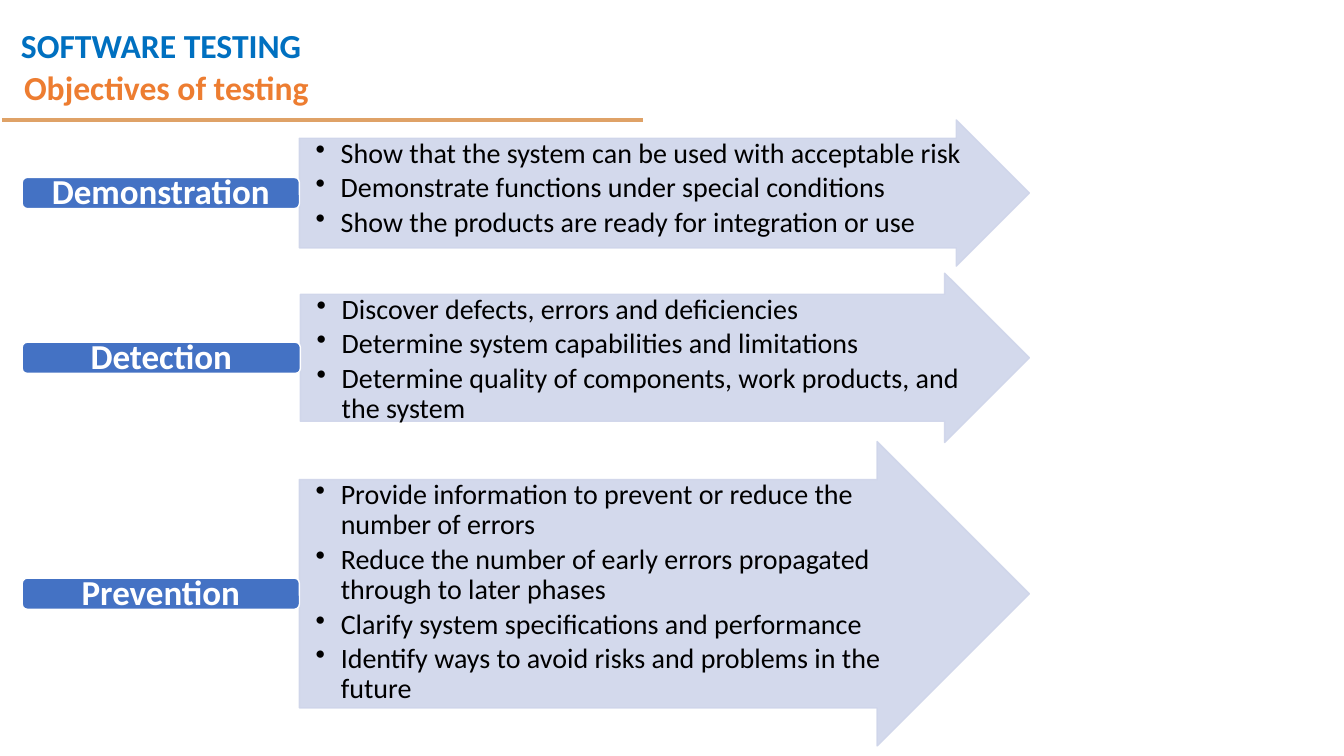
import pptx
import pptx.dml.color
import pptx.enum.shapes
import pptx.enum.text
import pptx.oxml
import pptx.oxml.ns
import pptx.util

Inches = pptx.util.Inches
Pt = pptx.util.Pt
RGBColor = pptx.dml.color.RGBColor
Shape = pptx.enum.shapes.MSO_SHAPE
Anchor = pptx.enum.text.MSO_ANCHOR
Align = pptx.enum.text.PP_ALIGN
qn = pptx.oxml.ns.qn

BLUE = RGBColor(0x00, 0x70, 0xC0)
ORANGE = RGBColor(0xED, 0x7D, 0x31)
RULE = RGBColor(0xDF, 0xA2, 0x67)
ARROW = RGBColor(0xCF, 0xD5, 0xEA)
LABEL = RGBColor(0x44, 0x72, 0xC4)
WHITE = RGBColor(0xFF, 0xFF, 0xFF)
BLACK = RGBColor(0x00, 0x00, 0x00)

LABEL_LEFT, LABEL_HEIGHT = 0.22, 0.31
ARROW_RIGHT = 10.21
SHAFT, HEAD = 0.75, 0.5

# Label, arrow left, top and height, bullet points
OBJECTIVES = [
    ("Demonstration", 2.97, 1.19, 1.45, [
        "Show that the system can be used with acceptable risk",
        "Demonstrate functions under special conditions",
        "Show the products are ready for integration or use"]),
    ("Detection", 2.98, 2.71, 1.68, [
        "Discover defects, errors and deficiencies",
        "Determine system capabilities and limitations",
        "Determine quality of components, work products, and the system"]),
    ("Prevention", 2.97, 4.38, 3.02, [
        "Provide information to prevent or reduce the number of errors",
        "Reduce the number of early errors propagated through to later phases",
        "Clarify system specifications and performance",
        "Identify ways to avoid risks and problems in the future"]),
]


class SlideBuilder:
    """Holds the style and the current slide."""

    font_name = "Calibri"

    def __init__(self, slide):
        self.slide = slide

    def fill_text(self, frame, lines, size, color, bold=False, inset=(0.1, 0.05),
                  anchor=Anchor.TOP, bullets=False, **para_format):
        across, down = (Inches(value) for value in inset)
        frame_format = {"word_wrap": True, "vertical_anchor": anchor,
                        "margin_left": across, "margin_right": across,
                        "margin_top": down, "margin_bottom": down}
        for name, value in frame_format.items():
            setattr(frame, name, value)
        for index, line in enumerate(lines):
            para = frame.add_paragraph() if index else frame.paragraphs[0]
            for name, value in para_format.items():
                setattr(para, name, value)
            span = para.add_run()
            span.text = line
            font_format = {"name": self.font_name, "size": Pt(size), "bold": bold}
            for name, value in font_format.items():
                setattr(span.font, name, value)
            span.font.color.rgb = color
            if bullets:
                self.add_bullet(para)

    def add_bullet(self, para):
        properties = para._p.get_or_add_pPr()
        properties.set("marL", str(Inches(0.4)))
        properties.set("indent", str(Inches(-0.25)))
        bullet = pptx.oxml.parse_xml(
            f'<a:buChar {pptx.oxml.ns.nsdecls("a")} char="•"/>')
        properties.append(bullet)

    def text(self, place, lines, size, color, **style):
        box = self.slide.shapes.add_textbox(*map(Inches, place))
        self.fill_text(box.text_frame, lines, size, color, **style)

    def shape(self, kind, place, fill, line, opacity=100):
        shape = self.slide.shapes.add_shape(kind, *map(Inches, place))
        shape.shadow.inherit = False
        shape.line.width = Pt(1)
        for paint, color in ((shape.fill, fill), (shape.line.fill, line)):
            paint.solid()
            paint.fore_color.rgb = color
        if opacity < 100:
            for node in shape._element.spPr.iter(qn("a:srgbClr")):
                alpha = pptx.oxml.parse_xml(
                    f'<a:alpha {pptx.oxml.ns.nsdecls("a")} val="{opacity * 1000}"/>')
                node.append(alpha)
        return shape

    def line(self, start, end, color, width):
        ends = map(Inches, (*start, *end))
        line = self.slide.shapes.add_connector(
            pptx.enum.shapes.MSO_CONNECTOR.STRAIGHT, *ends)
        line.line.color.rgb = color
        line.line.width = Pt(width)
        line._element.spPr.append(pptx.oxml.parse_xml(
            f'<a:effectLst {pptx.oxml.ns.nsdecls("a")}/>'))

    def objective(self, label, left, top, height, points):
        # Arrow
        width = ARROW_RIGHT - left
        arrow = self.shape(Shape.RIGHT_ARROW, (left, top, width, height),
                           ARROW, ARROW, opacity=90)
        arrow.adjustments[0], arrow.adjustments[1] = SHAFT, HEAD
        # Bullet points inside the shaft
        place = (left, top + height * (1 - SHAFT) / 2,
                 width - height * HEAD * SHAFT, height * SHAFT)
        self.text(place, points, 20, BLACK, inset=(0.01, 0.01), bullets=True,
                  line_spacing=0.9, space_after=Pt(3))
        # Label centred on the arrow
        place = (LABEL_LEFT, top + (height - LABEL_HEIGHT) / 2,
                 left - LABEL_LEFT, LABEL_HEIGHT)
        bar = self.shape(Shape.ROUNDED_RECTANGLE, place, LABEL, WHITE)
        self.fill_text(bar.text_frame, [label], 25, WHITE, bold=True,
                       anchor=Anchor.MIDDLE, alignment=Align.CENTER,
                       line_spacing=0.9)


deck = pptx.Presentation()
deck.slide_width, deck.slide_height = Inches(13.33), Inches(7.5)
page = SlideBuilder(deck.slides.add_slide(deck.slide_layouts[6]))

# Heading
page.text((0.11, 0, 5.58, 0.64), ["SOFTWARE TESTING"], 24, BLUE, bold=True,
          line_spacing=1.5)
page.line((0.02, 1.19), (6.38, 1.19), RULE, 3)
page.text((0.14, 0.58, 11.5, 0.61), ["Objectives of testing"], 24, ORANGE,
          bold=True, anchor=Anchor.MIDDLE, line_spacing=0.9)

# Objectives
for objective in OBJECTIVES:
    page.objective(*objective)

deck.save("out.pptx")
